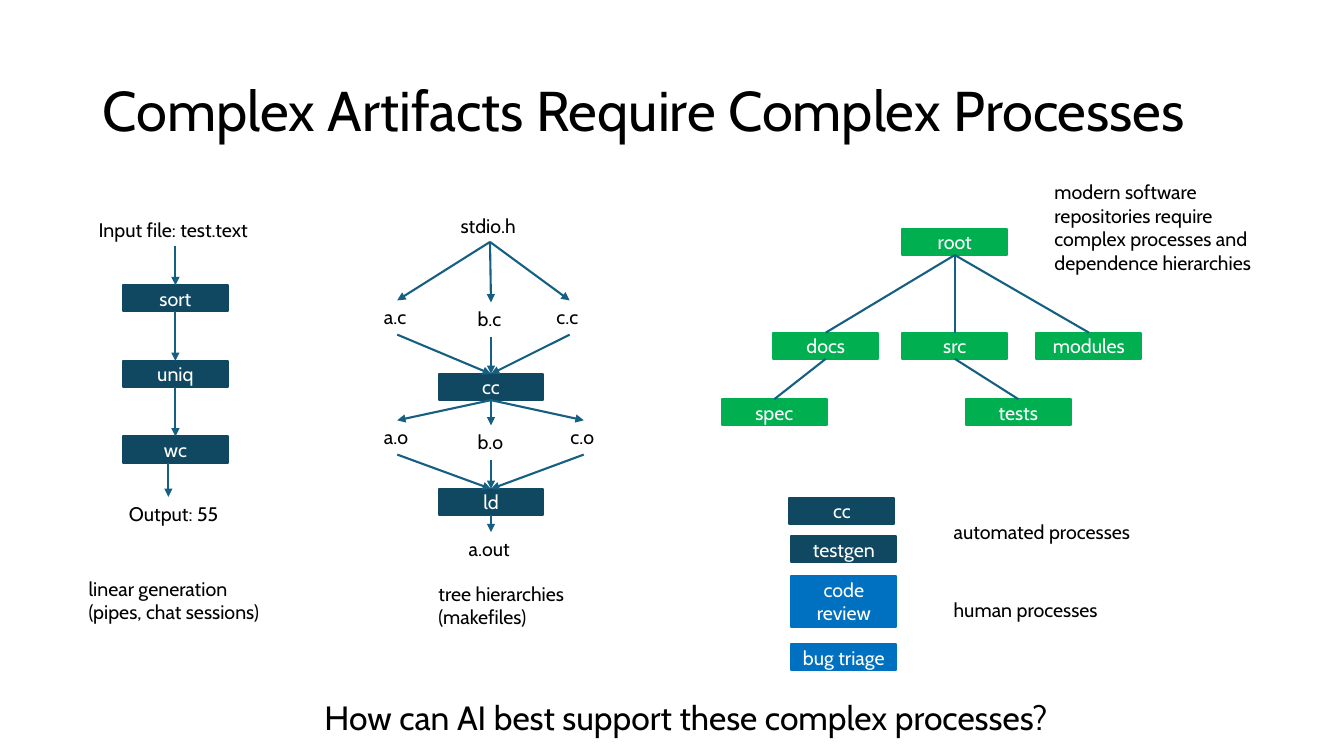
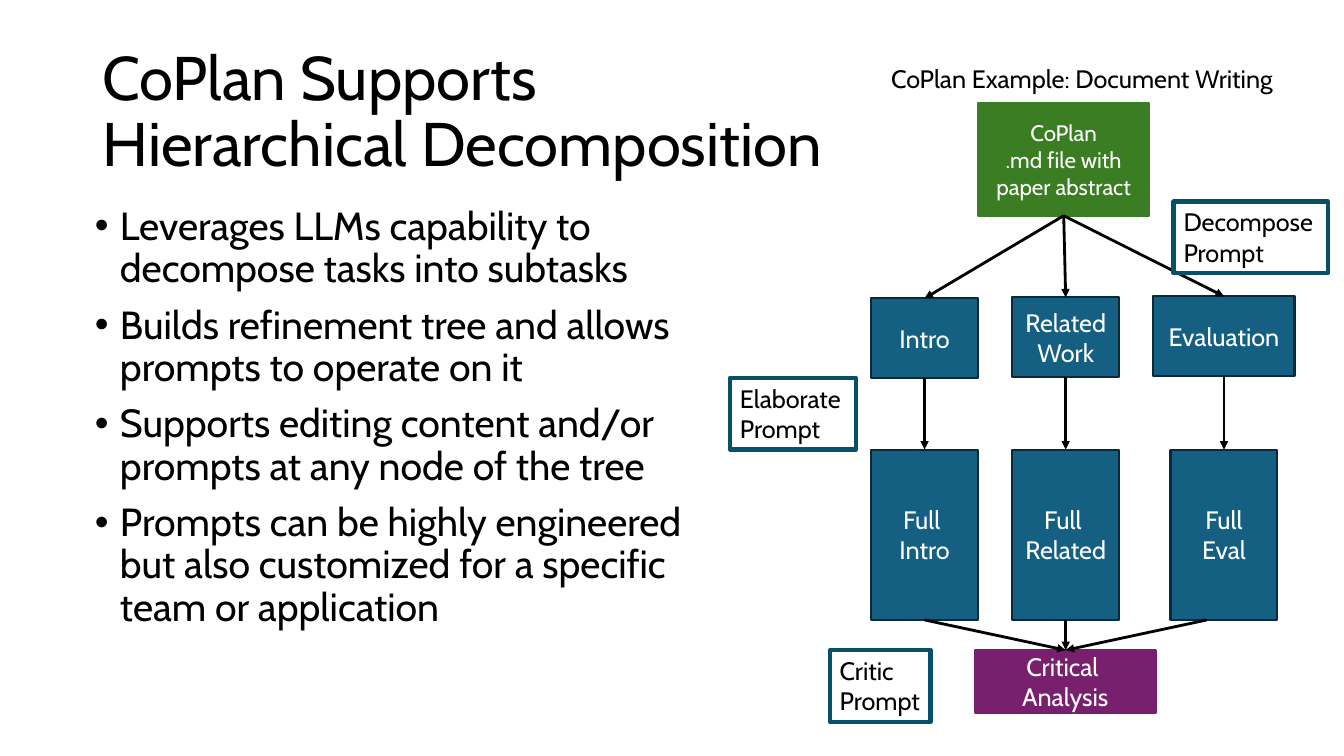
from dataclasses import dataclass
from typing import Any

from lxml import etree
from pptx import Presentation
from pptx.dml.color import RGBColor
from pptx.enum.shapes import MSO_CONNECTOR, MSO_SHAPE
from pptx.enum.text import MSO_ANCHOR, MSO_AUTO_SIZE, PP_ALIGN
from pptx.oxml.ns import qn
from pptx.util import Pt

PX = 9144
FONT = "Cabin"
RECTANGLE = MSO_SHAPE.RECTANGLE
STRAIGHT = MSO_CONNECTOR.STRAIGHT
LEFT, CENTER = PP_ALIGN.LEFT, PP_ALIGN.CENTER
MIDDLE = MSO_ANCHOR.MIDDLE
NO_AUTOFIT = MSO_AUTO_SIZE.NONE
CONTENT_LAYOUT, TITLE_LAYOUT = 1, 5
NODE_WIDTH, NODE_HEIGHT = 104, 26
LABEL_HEIGHT = 34
COLORS = {
    "black": "000000",
    "white": "FFFFFF",
    "automated": "104862",
    "human": "0070C0",
    "repository": "00B050",
    "teal": "156082",
    "teal edge": "092A39",
    "prompt": "084F6A",
    "document": "3B7D23",
    "analysis": "78206E",
}


def rgb(name):
    """Return the named colour."""
    return RGBColor.from_string(COLORS[name])


def format_paragraph(paragraph, text, size, color="black", align=LEFT):
    """Fill a paragraph and set its font and alignment."""
    paragraph.text = text
    paragraph.alignment = align
    paragraph.font.name = FONT
    paragraph.font.size = Pt(size)
    paragraph.font.color.rgb = rgb(color)


def place(shape, left, top, width, height):
    """Move and size a shape in px."""
    shape.left, shape.top = left * PX, top * PX
    shape.width, shape.height = width * PX, height * PX


@dataclass
class Region:
    """Part of a slide whose contents are placed from its top left corner."""

    slide: Any
    left: int
    top: int

    def bounds(self, left, top, width, height):
        """Turn a box in the region into slide EMU."""
        return (self.left + left) * PX, (self.top + top) * PX, width * PX, height * PX

    def node(self, text, left, top, width=NODE_WIDTH, height=NODE_HEIGHT,
             fill="automated", edge=None, size=14):
        """Draw a filled box with centred white text."""
        shape = self.slide.shapes.add_shape(RECTANGLE, *self.bounds(left, top, width, height))
        shape.shadow.inherit = False
        shape.fill.solid()
        shape.fill.fore_color.rgb = rgb(fill)
        shape.line.color.rgb = rgb(edge or fill)
        shape.line.width = Pt(1.5)
        frame = shape.text_frame
        frame.word_wrap = True
        frame.vertical_anchor = MIDDLE
        format_paragraph(frame.paragraphs[0], text, size, "white", CENTER)

    def label(self, text, left, top, width, height=LABEL_HEIGHT, size=14, wrap=True):
        """Draw plain text and return its box."""
        box = self.slide.shapes.add_textbox(*self.bounds(left, top, width, height))
        box.text_frame.word_wrap = wrap
        format_paragraph(box.text_frame.paragraphs[0], text, size)
        return box

    def link(self, start, end, color="teal", width=1.5, arrow=True):
        """Draw a straight line between two points of the region."""
        points = [(offset + base) * PX for point in (start, end)
                  for offset, base in zip(point, (self.left, self.top))]
        connector = self.slide.shapes.add_connector(STRAIGHT, *points)
        connector.line.color.rgb = rgb(color)
        connector.line.width = Pt(width)
        properties = connector.element.spPr
        if arrow:
            etree.SubElement(properties.find(qn("a:ln")), qn("a:tailEnd"), type="triangle")
        etree.SubElement(properties, qn("a:effectLst"))


def add_titled_slide(presentation, layout, text, size):
    """Add a slide with the shared title style."""
    slide = presentation.slides.add_slide(presentation.slide_layouts[layout])
    title = slide.shapes.title
    place(title, 92, 40, 1150, 145)
    title.text_frame.auto_size = NO_AUTOFIT
    title.text_frame.vertical_anchor = MIDDLE
    paragraph = title.text_frame.paragraphs[0]
    format_paragraph(paragraph, text, size)
    paragraph.line_spacing = 0.9
    return slide


def draw_pipeline(region):
    """Draw the linear chain of commands."""
    region.label("Input file: test.text", 10, 0, 173, wrap=False)
    first, pitch, center = 72, 75, 96
    start = 33
    for index, command in enumerate(("sort", "uniq", "wc")):
        top = first + index * pitch
        region.node(command, 44, top)
        region.link((center, start), (center, top))
        start = top + NODE_HEIGHT
    region.link((89, start), (89, 282))
    region.label("Output: 55", 40, 282, 111, wrap=False)
    region.label("linear generation\n(pipes, chat sessions)", 0, 356, 204, 57, wrap=False)


def draw_file_layer(region, files, source, target):
    """Draw files that fan out from one point and join at another."""
    for name, left, top in files:
        region.label(name, left, top, 47, wrap=False)
        region.link(source, (left + 23, top))
        region.link((left + 23, top + LABEL_HEIGHT), target)


def draw_build(region):
    """Draw the compile and link hierarchy."""
    center, compiler, linker = 116, 164, 278
    region.label("stdio.h", 76, 0, 78)
    region.node("cc", center - 52, compiler)
    region.node("ld", center - 52, linker)
    draw_file_layer(region, (("a.c", 0, 91), ("b.c", 93, 93), ("c.c", 171, 91)),
                    (115, 33), (center, compiler))
    draw_file_layer(region, (("a.o", 0, 210), ("b.o", 93, 215), ("c.o", 185, 210)),
                    (center, compiler + NODE_HEIGHT), (center, linker))
    region.link((center, linker + NODE_HEIGHT), (center, 321))
    region.label("a.out", 84, 321, 64)
    region.label("tree hierarchies (makefiles)", 54, 365, 215, 57)


def draw_repository(region):
    """Draw the folder tree and its note."""
    folders = {
        "root": (179, 53, None),
        "docs": (51, 156, "root"),
        "src": (179, 156, "root"),
        "modules": (312, 156, "root"),
        "spec": (0, 222, "docs"),
        "tests": (242, 222, "src"),
    }
    middle = NODE_WIDTH // 2
    for name, (left, top, parent) in folders.items():
        region.node(name, left, top, fill="repository")
        if parent:
            parent_left, parent_top, _ = folders[parent]
            region.link((parent_left + middle, parent_top + NODE_HEIGHT),
                        (left + middle, top), arrow=False)
    region.label("modern software repositories require\n"
                 "complex processes and dependence hierarchies", 320, 0, 260, 104)


def draw_legend(region):
    """Draw the key to automated and human processes."""
    region.node("cc", 0, 0)
    region.node("testgen", 2, 38)
    region.node("code review", 2, 77, height=51, fill="human")
    region.node("bug triage", 2, 145, fill="human")
    region.label("automated processes", 153, 17, 260)
    region.label("human processes", 153, 94, 260)


def draw_bullets(body):
    """Fill the body placeholder with bulleted statements."""
    statements = (
        "Leverages LLMs capability to decompose tasks into subtasks",
        "Builds refinement tree and allows prompts to operate on it",
        "Supports editing content and/or prompts at any node of the tree",
        "Prompts can be highly engineered but also customized for a specific team or application",
    )
    place(body, 84, 200, 622, 476)
    frame = body.text_frame
    frame.auto_size = NO_AUTOFIT
    for index, statement in enumerate(statements):
        paragraph = frame.add_paragraph() if index else frame.paragraphs[0]
        format_paragraph(paragraph, statement, 28)
        paragraph.line_spacing = 0.9
        paragraph.space_before = Pt(10)
        properties = paragraph.font._element.getparent()
        properties.set("marL", str(25 * PX))
        properties.set("indent", str(-25 * PX))
        bullet_font = etree.Element(qn("a:buFont"), typeface="Arial")
        bullet = etree.Element(qn("a:buChar"), char="•")
        paragraph.font._element.addprevious(bullet_font)
        paragraph.font._element.addprevious(bullet)


def draw_document_tree(region):
    """Draw the document refinement tree with its prompts."""
    columns = (
        (193, "Intro", 238, 106, "Full \nIntro", 193),
        (333, "Related\nWork", 237, 106, "Full \nRelated", 333),
        (490, "Evaluation", 236, 140, "Full\nEval", 473),
    )
    prompts = (
        ("Decompose\nPrompt", 440, 142, 153),
        ("Elaborate\nPrompt", 0, 317, 125),
        ("Critic \nPrompt", 99, 587, 100),
    )
    section_height, full_top, full_height, analysis_top = 79, 388, 169, 587
    section_style = {"fill": "teal", "edge": "teal edge", "size": 18}
    arrow_style = {"color": "black", "width": 2}

    region.label("CoPlan Example: Document Writing", 150, 0, 411, 40, 18, wrap=False)
    region.node("CoPlan\n.md file with\npaper abstract", 246, 44, 170, 112,
                fill="document", size=16)
    region.node("Critical \nAnalysis", 243, analysis_top, 179, 62, fill="analysis", size=18)
    for center, section, top, width, full, exit_x in columns:
        region.node(section, center - width // 2, top, width, section_height, **section_style)
        region.node(full, center - 53, full_top, 106, full_height, **section_style)
        region.link((331, 156), (center, top), **arrow_style)
        region.link((center, top + section_height), (center, full_top), **arrow_style)
        region.link((exit_x, full_top + full_height), (333, analysis_top), **arrow_style)
    for text, left, top, width in prompts:
        box = region.label(text, left, top, width, 71, 18, wrap=False)
        box.line.color.rgb = rgb("prompt")
        box.line.width = Pt(3)


def build_processes_slide(presentation):
    """Build the slide that compares kinds of processes."""
    slide = add_titled_slide(presentation, TITLE_LAYOUT,
                             "Complex Artifacts Require Complex Processes", 40)
    draw_pipeline(Region(slide, 78, 211))
    draw_build(Region(slide, 371, 207))
    draw_repository(Region(slide, 716, 174))
    draw_legend(Region(slide, 783, 494))
    Region(slide, 312, 686).label("How can AI best support these complex processes?",
                                  0, 0, 834, 50, 24)


def build_decomposition_slide(presentation):
    """Build the slide on hierarchical decomposition."""
    slide = add_titled_slide(presentation, CONTENT_LAYOUT,
                             "CoPlan Supports \nHierarchical Decomposition", 44)
    draw_bullets(slide.placeholders[1])
    draw_document_tree(Region(slide, 724, 58))


def main():
    """Build and save the presentation."""
    presentation = Presentation()
    presentation.slide_width, presentation.slide_height = 1333 * PX, 750 * PX
    build_processes_slide(presentation)
    build_decomposition_slide(presentation)
    presentation.save("out.pptx")


if __name__ == "__main__":
    main()
